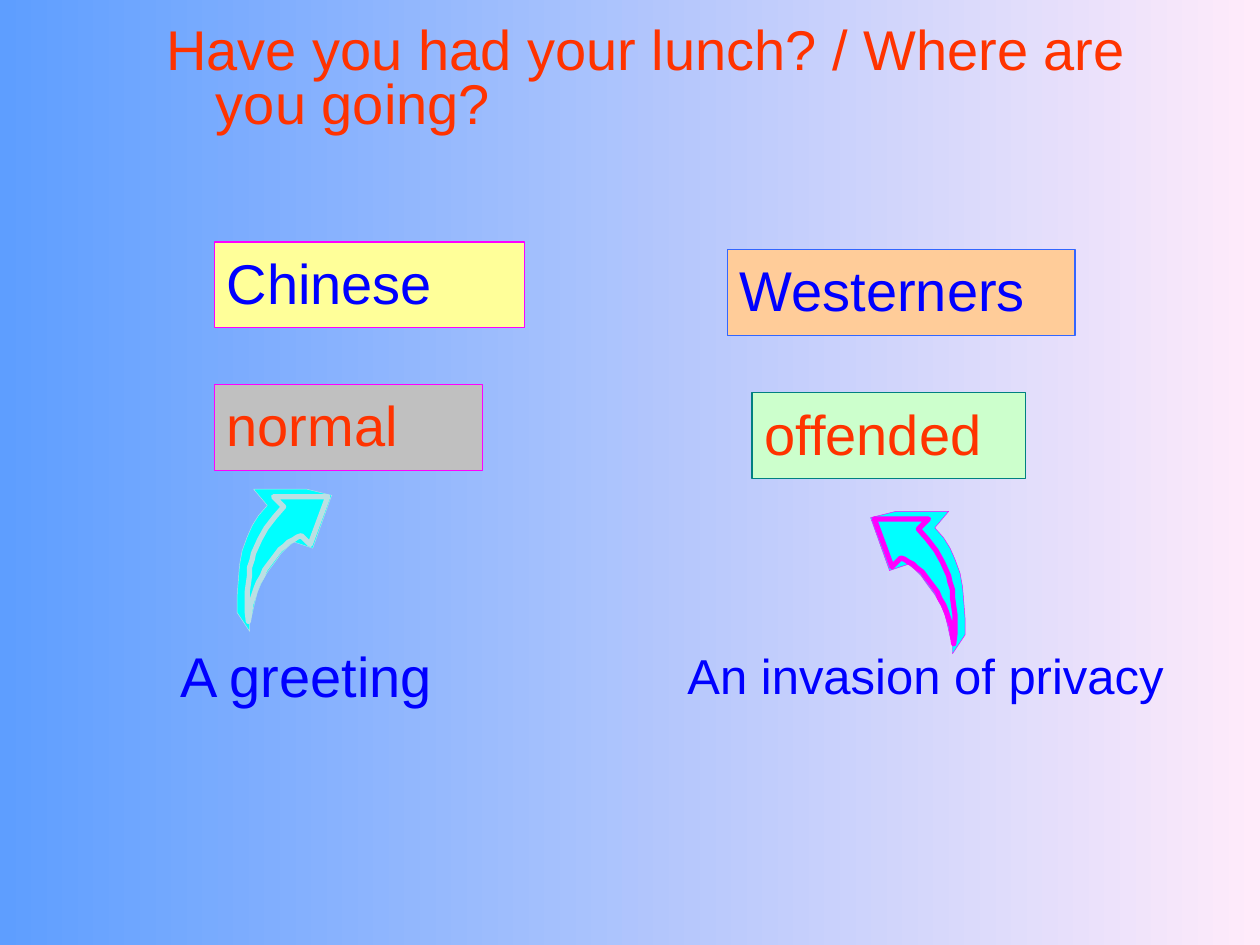
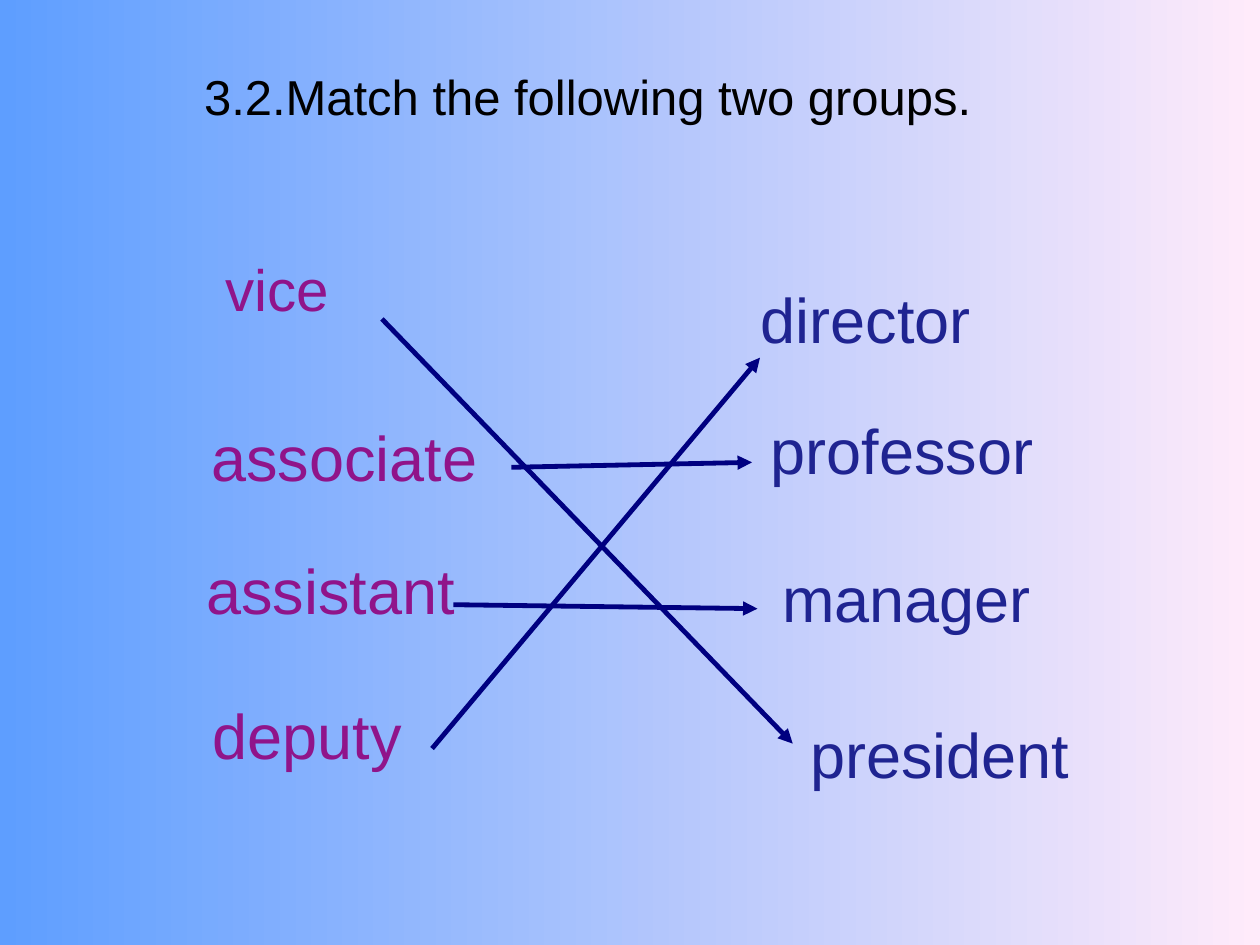
from lxml.etree import SubElement
from pptx import Presentation
from pptx.dml.color import RGBColor
from pptx.enum.shapes import MSO_CONNECTOR, MSO_SHAPE
from pptx.enum.text import MSO_ANCHOR, MSO_AUTO_SIZE, PP_ALIGN
from pptx.oxml.ns import qn
from pptx.util import Cm, Pt

# Shared look
FONT = "Arial"
BACKGROUND = ("5E9EFF", "FFEBFA")
RED, BLUE, BLACK = "FF3300", "0000FF", "000000"
PURPLE, INDIGO, NAVY = "90148A", "1F2491", "000080"
CYAN, PALE_BLUE, MAGENTA = "00FFFF", "BBE0E3", "FF00FF"
SPACE_BEFORE = 3
HANGING_INDENT = Cm(1)

# Slide 1: text, place (left, top, width, height in cm), size, colour
GREETING_TITLE = ("Have you had your lunch? / Where are you going?",
                  (3.1, 0.43, 20.75, 2.51), 32, RED, 0.8)
BOX_HEIGHT = 1.73
BOXES = [  # text, left, top, width, text colour, fill, line
    ("Chinese", 4.32, 4.88, 6.25, BLUE, "FFFF99", MAGENTA),
    ("Westerners", 14.66, 5.03, 7.01, BLUE, "FFCC99", "3366FF"),
    ("normal", 4.32, 7.75, 5.41, RED, "C0C0C0", MAGENTA),
    ("offended", 15.16, 7.92, 5.51, RED, "CCFFCC", "008080"),
]
MEANINGS = [
    ("A greeting", (3.38, 12.8, 7.54, BOX_HEIGHT), 32),
    ("An invasion of privacy", (13.61, 12.88, 11.79, BOX_HEIGHT), 28),
]
CURVED_ARROWS = [  # left, top, line colour, mirrored
    (4.78, 9.86, PALE_BLUE, False),
    (17.55, 10.31, MAGENTA, True),
]

# Curved arrow outlines, in grid units
ARROW_UNIT = Cm(0.0254)
ARROW_WIDTH = 75
ARROW_BACK = [
    (24, 13), (17, 21), (12, 29), (8, 38), (4, 49), (2, 60), (1, 72), (0, 85),
    (0, 98), (10, 113), (10, 106), (12, 99), (14, 90), (16, 82), (19, 75),
    (24, 66), (30, 58), (35, 51), (40, 46), (45, 42), (60, 47), (75, 5),
    (55, 0), (13, 0),
]
ARROW_FRONT = [
    (37, 14), (30, 22), (23, 31), (18, 40), (13, 51), (12, 56), (10, 62),
    (10, 68), (9, 75), (8, 82), (8, 89), (8, 97), (9, 105), (10, 98), (11, 91),
    (13, 85), (15, 79), (17, 74), (20, 69), (22, 64), (25, 60), (28, 56),
    (31, 52), (34, 48), (38, 45), (41, 42), (45, 40), (48, 38), (51, 37),
    (58, 44), (72, 6), (29, 6),
]

# Slide 2
MATCH_TITLE = ("3.2.Match the following two groups.",
               (3.86, 1.35, 20.29, 2.39), 28, BLACK, 0.9)
PREFIXES = [  # text, left, top, size, line spacing
    ("vice", 4.29, 5.36, 33.3, 0.7),
    ("associate", 4.01, 8.61, 36, 0.8),
    ("assistant", 3.91, 11.28, 36, 0.8),
    ("deputy", 4.04, 14.22, 36, 0.8),
]
POSITIONS = [  # text, left, top
    ("director", 15.09, 5.54),
    ("professor", 15.29, 8.18),
    ("manager", 15.52, 11.15),
    ("president", 16.08, 14.3),
]
MATCHES = [  # start x, start y, end x, end y
    (7.7, 6.43, 15.98, 14.99),   # vice president
    (10.31, 9.42, 15.16, 9.32),  # associate professor
    (8.71, 15.09, 15.32, 7.21),  # deputy director
    (9.14, 12.19, 15.27, 12.27),  # assistant manager
]


def rgb(colour):
    return RGBColor.from_string(colour)


def lengths(place):
    return [Cm(value) for value in place]


def write(shape, text, size, colour, line_spacing=1.0):
    frame = shape.text_frame
    frame.text = text
    frame.word_wrap = True
    frame.auto_size = MSO_AUTO_SIZE.NONE
    frame.vertical_anchor = MSO_ANCHOR.TOP
    paragraph = frame.paragraphs[0]
    paragraph.alignment = PP_ALIGN.LEFT
    paragraph.line_spacing = line_spacing
    paragraph.space_before = Pt(SPACE_BEFORE)
    font = paragraph.runs[0].font
    font.name, font.size = FONT, Pt(size)
    font.color.rgb = rgb(colour)


def paint(shape, fill, line, width):
    shape.shadow.inherit = False
    shape.fill.solid()
    shape.fill.fore_color.rgb = rgb(fill)
    shape.line.color.rgb = rgb(line)
    shape.line.width = Pt(width)


def add_titled_slide(presentation, text, place, size, colour, line_spacing):
    slide = presentation.slides.add_slide(presentation.slide_layouts[5])
    title = slide.shapes.title
    title.left, title.top, title.width, title.height = lengths(place)
    write(title, text, size, colour, line_spacing)
    properties = title.text_frame.paragraphs[0]._p.get_or_add_pPr()
    properties.set("marL", str(HANGING_INDENT))
    properties.set("indent", str(-HANGING_INDENT))
    return slide


def add_text(slide, text, place, size, colour, line_spacing=1.0):
    write(slide.shapes.add_textbox(*lengths(place)), text, size, colour, line_spacing)


def add_curved_arrow(slide, left, top, line, mirrored):
    group = slide.shapes.add_group_shape()
    for outline, width in ((ARROW_BACK, 0.25), (ARROW_FRONT, 3)):
        points = [(ARROW_WIDTH - x if mirrored else x, y) for x, y in outline]
        builder = group.shapes.build_freeform(*points[0], scale=ARROW_UNIT)
        builder.add_line_segments(points[1:], close=True)
        paint(builder.convert_to_shape(Cm(left), Cm(top)), CYAN, line, width)


def add_match_arrow(slide, ends):
    connector = slide.shapes.add_connector(MSO_CONNECTOR.STRAIGHT, *lengths(ends))
    connector.line.color.rgb = rgb(NAVY)
    connector.line.width = Pt(2.75)
    SubElement(connector.line._get_or_add_ln(), qn("a:tailEnd"), type="triangle")
    SubElement(connector._element.spPr, qn("a:effectLst"))


def build_greeting_slide(presentation):
    slide = add_titled_slide(presentation, *GREETING_TITLE)
    for text, left, top, width, colour, fill, line in BOXES:
        place = lengths((left, top, width, BOX_HEIGHT))
        box = slide.shapes.add_shape(MSO_SHAPE.RECTANGLE, *place)
        paint(box, fill, line, 0.75)
        write(box, text, 32, colour)
    for text, place, size in MEANINGS:
        add_text(slide, text, place, size, BLUE)
    for arrow in CURVED_ARROWS:
        add_curved_arrow(slide, *arrow)


def build_match_slide(presentation):
    slide = add_titled_slide(presentation, *MATCH_TITLE)
    for text, left, top, size, line_spacing in PREFIXES:
        add_text(slide, text, (left, top, 6.5, 1.57), size, PURPLE, line_spacing)
    for text, left, top in POSITIONS:
        add_text(slide, text, (left, top, 7.26, 1.52), 36, INDIGO)
    for ends in MATCHES:
        add_match_arrow(slide, ends)


def main():
    presentation = Presentation()
    presentation.slide_width, presentation.slide_height = Cm(25.4), Cm(19.05)

    # Gradient background on the master, for both slides
    fill = presentation.slide_master.background.fill
    fill.gradient()
    fill.gradient_angle = 0
    for stop, colour in zip(fill.gradient_stops, BACKGROUND):
        stop.color.rgb = rgb(colour)

    build_greeting_slide(presentation)
    build_match_slide(presentation)
    presentation.save("out.pptx")


if __name__ == "__main__":
    main()
